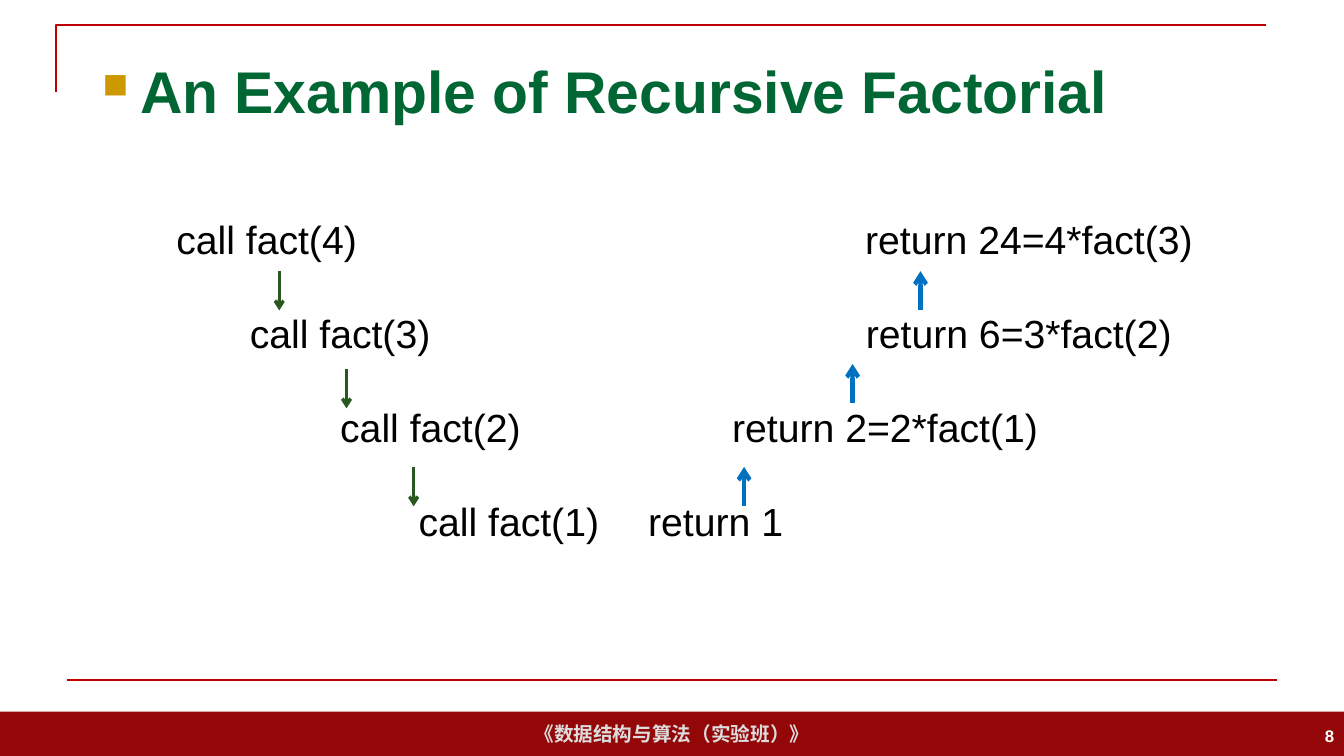
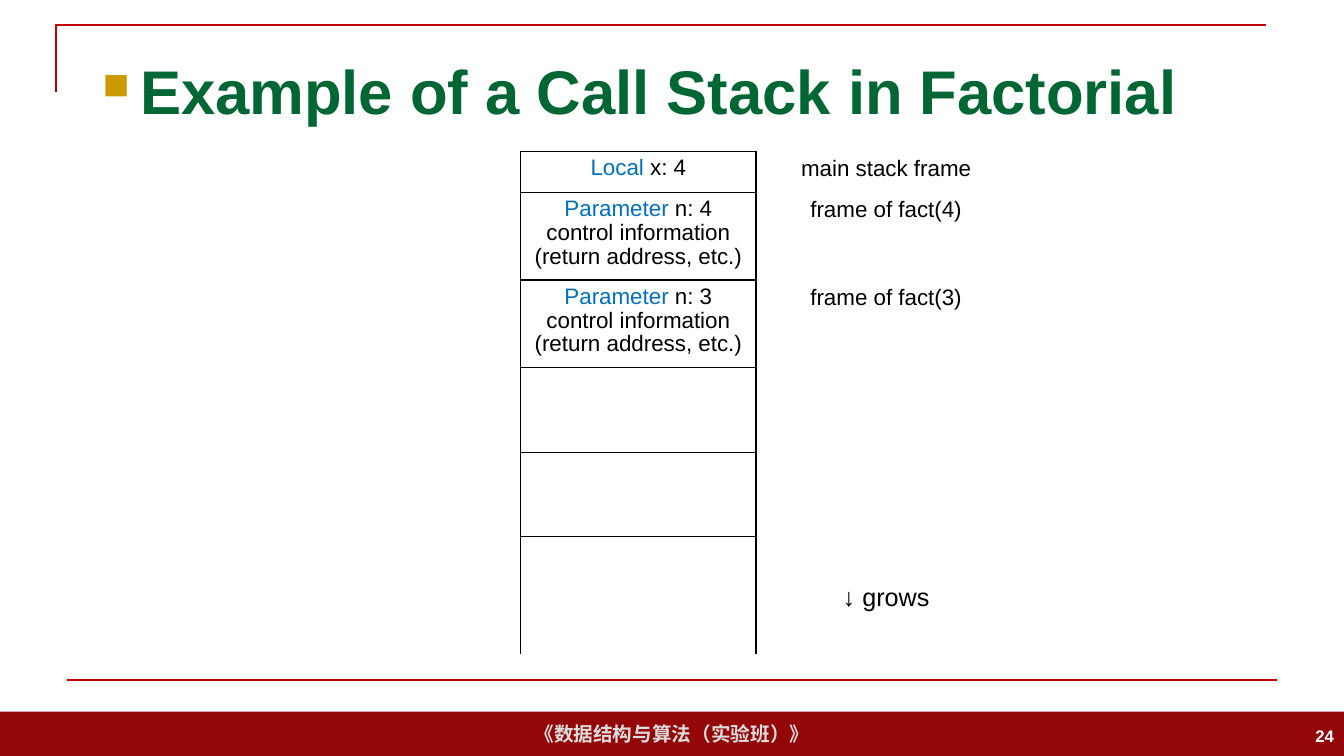
import pptx
import pptx.util
import pptx.dml.color
import pptx.enum.shapes
import pptx.enum.text
import pptx.oxml
import pptx.oxml.ns

Pt = pptx.util.Pt
RGBColor = pptx.dml.color.RGBColor
ALIGN = pptx.enum.text.PP_ALIGN
ANCHOR = pptx.enum.text.MSO_ANCHOR
SHAPE = pptx.enum.shapes.MSO_SHAPE
STRAIGHT = pptx.enum.shapes.MSO_CONNECTOR.STRAIGHT

BLACK = RGBColor(0x00, 0x00, 0x00)
WHITE = RGBColor(0xFF, 0xFF, 0xFF)
TITLE_GREEN = RGBColor(0x00, 0x66, 0x33)
BULLET_GOLD = RGBColor(0xCC, 0x99, 0x00)
FRAME_RED = RGBColor(0xC0, 0x00, 0x00)
BAND_RED = RGBColor(0x94, 0x07, 0x09)
BAND_GREY = RGBColor(0xDD, 0xDD, 0xDD)
CALL_GREEN = RGBColor(0x28, 0x57, 0x20)
BLUE = RGBColor(0x00, 0x70, 0xC0)

WIDTH, HEIGHT = 960, 540
BAND_TOP = 508.3
COURSE = "《数据结构与算法（实验班）》"


def add_xml(parent, tag, content="", **attributes):
    listed = "".join(f' {key}="{value}"' for key, value in attributes.items())
    parent.append(pptx.oxml.parse_xml(
        f'<a:{tag} {pptx.oxml.ns.nsdecls("a")}{listed}>{content}</a:{tag}>'))


def write(frame, text, size=16, color=BLACK, bold=False, align=ALIGN.LEFT,
          anchor=ANCHOR.MIDDLE, spacing=None, keyword=""):
    """Fill a text frame; a leading keyword of the first line turns blue."""
    frame.vertical_anchor = anchor
    for index, line in enumerate(text.split("\n")):
        paragraph = frame.paragraphs[0] if index == 0 else frame.add_paragraph()
        paragraph.alignment = align
        if spacing:
            paragraph.line_spacing = spacing
        parts = [(line, color)]
        if index == 0 and keyword:
            parts.insert(0, (keyword, BLUE))
        for part, part_color in parts:
            run = paragraph.add_run()
            run.text = part
            run.font.name = "Arial"
            run.font.size = Pt(size)
            run.font.bold = bold
            run.font.color.rgb = part_color


class Deck:
    def __init__(self):
        self.presentation = pptx.Presentation()
        self.presentation.slide_width = Pt(WIDTH)
        self.presentation.slide_height = Pt(HEIGHT)
        self.slide = None

    def new_slide(self, title, number, title_size):
        layout = self.presentation.slide_layouts[6]
        self.slide = self.presentation.slides.add_slide(layout)
        self.band()
        self.corner()
        self.line((48, 486), (912, 486), FRAME_RED, 1.5)
        self.title(title, title_size)
        self.text(str(number), 744, 511, 216, 29, inset=7.2, size=12,
                  color=WHITE, bold=True, align=ALIGN.RIGHT)

    def band(self):
        band = self.slide.shapes.add_shape(
            SHAPE.RECTANGLE, 0, Pt(BAND_TOP), Pt(WIDTH), Pt(HEIGHT - BAND_TOP))
        band.shadow.inherit = False
        band.fill.solid()
        band.fill.fore_color.rgb = BAND_RED
        band.line.fill.background()
        write(band.text_frame, COURSE, size=14, color=BAND_GREY, bold=True,
              align=ALIGN.CENTER)

    def corner(self):
        builder = self.slide.shapes.build_freeform(Pt(40), Pt(66))
        builder.add_line_segments([(Pt(40), Pt(18)), (Pt(904), Pt(18))],
                                  close=False)
        corner = builder.convert_to_shape()
        corner.shadow.inherit = False
        corner.fill.background()
        corner.line.color.rgb = FRAME_RED
        corner.line.width = Pt(1.5)

    def title(self, text, size):
        box = self.text(text, 66, 29, 828, 71, inset=7.2, size=size,
                        color=TITLE_GREEN, bold=True)
        properties = box.text_frame.paragraphs[0]._p.get_or_add_pPr()
        properties.set("marL", str(Pt(27)))
        properties.set("indent", str(-Pt(27)))
        add_xml(properties, "buClr", f'<a:srgbClr val="{BULLET_GOLD}"/>')
        add_xml(properties, "buSzPct", val=60000)
        add_xml(properties, "buFont", typeface="Wingdings")
        add_xml(properties, "buChar", char="n")

    def text(self, text, left, top, width, height, inset=0, **style):
        box = self.slide.shapes.add_textbox(Pt(left), Pt(top), Pt(width), Pt(height))
        frame = box.text_frame
        frame.word_wrap = True
        frame.margin_left = frame.margin_right = Pt(inset)
        frame.margin_top = frame.margin_bottom = Pt(inset / 2)
        write(frame, text, **style)
        return box

    def line(self, start, end, color, width, arrow=False):
        line = self.slide.shapes.add_connector(
            STRAIGHT, *(Pt(value) for value in (*start, *end)))
        line.line.color.rgb = color
        line.line.width = Pt(width)
        properties = line._element.spPr
        if arrow:
            add_xml(line.line._get_or_add_ln(), "tailEnd", type="arrow")
        add_xml(properties, "effectLst")

    def table(self, left, top, widths, heights):
        """Add an unfilled, borderless table."""
        frame = self.slide.shapes.add_table(
            len(heights), len(widths), Pt(left), Pt(top),
            Pt(sum(widths)), Pt(sum(heights)))
        table = frame.table
        table.first_row = table.horz_banding = False
        for column, width in zip(table.columns, widths):
            column.width = Pt(width)
        for row, height in zip(table.rows, heights):
            row.height = Pt(height)
        return table

    def cell(self, cell, sides="", text="", **style):
        """Outline the given sides (of L, R, T, B) and write the text."""
        properties = cell._tc.get_or_add_tcPr()
        for side in "LRTB":
            if side in sides:
                paint = f'<a:solidFill><a:srgbClr val="{BLACK}"/></a:solidFill>'
            else:
                paint = "<a:noFill/>"
            add_xml(properties, f"ln{side}", paint, w=Pt(1))
        cell.fill.background()
        if text:
            write(cell.text_frame, text, align=ALIGN.CENTER, **style)


def add_recursion(deck):
    deck.new_slide("An Example of Recursive Factorial", 8, 42)
    first_top, step = 153.5, 67.2
    calls = [("call fact(4)", 126), ("call fact(3)", 178.5),
             ("call fact(2)", 243), ("call fact(1)", 299)]
    returns = [("return 24=4*fact(3)", 618), ("return 6=3*fact(2)", 618.5),
               ("return 2=2*fact(1)", 523), ("return 1", 463)]
    for entries, width in ((calls, 150), (returns, 260)):
        for level, (label, left) in enumerate(entries):
            deck.text(label, left, first_top + level * step, width, 33,
                      size=28, anchor=ANCHOR.TOP)

    arrow_length = 28
    for level in range(3):
        x, top = 199.5 + 48 * level, 193.7 + 70 * level
        deck.line((x, top), (x, top + arrow_length), CALL_GREEN, 2.25, arrow=True)
    for x, top in ((531.5, 333.5), (657.5, 193.7), (609, 260)):
        deck.line((x, top + arrow_length), (x, top), BLUE, 3, arrow=True)


def add_call_stack(deck):
    deck.new_slide("Example of a Call Stack in Factorial", 24, 44)
    details = "\ncontrol information\n(return address, etc.)"
    frames = [("Local", " x: 4", "main stack frame"),
              ("Parameter", " n: 4" + details, "frame of fact(4)"),
              ("Parameter", " n: 3" + details, "frame of fact(3)")]
    sides = ["LRTB"] * 5 + ["LRT", "LR"]
    stack = deck.table(372, 108, [168, 186], [29.5] + [60.5] * 4 + [29.5, 54])
    for row, outline in enumerate(sides):
        keyword, content, label = frames[row] if row < len(frames) else ("", "", "")
        deck.cell(stack.cell(row, 0), outline, content, keyword=keyword, spacing=0.96)
        if row < len(sides) - 1:
            deck.cell(stack.cell(row, 1), "L", label)
        else:
            deck.cell(stack.cell(row, 1), "L", "↓ grows", size=18, anchor=ANCHOR.TOP)


def main():
    deck = Deck()
    add_recursion(deck)
    add_call_stack(deck)
    deck.presentation.save("out.pptx")


if __name__ == "__main__":
    main()
